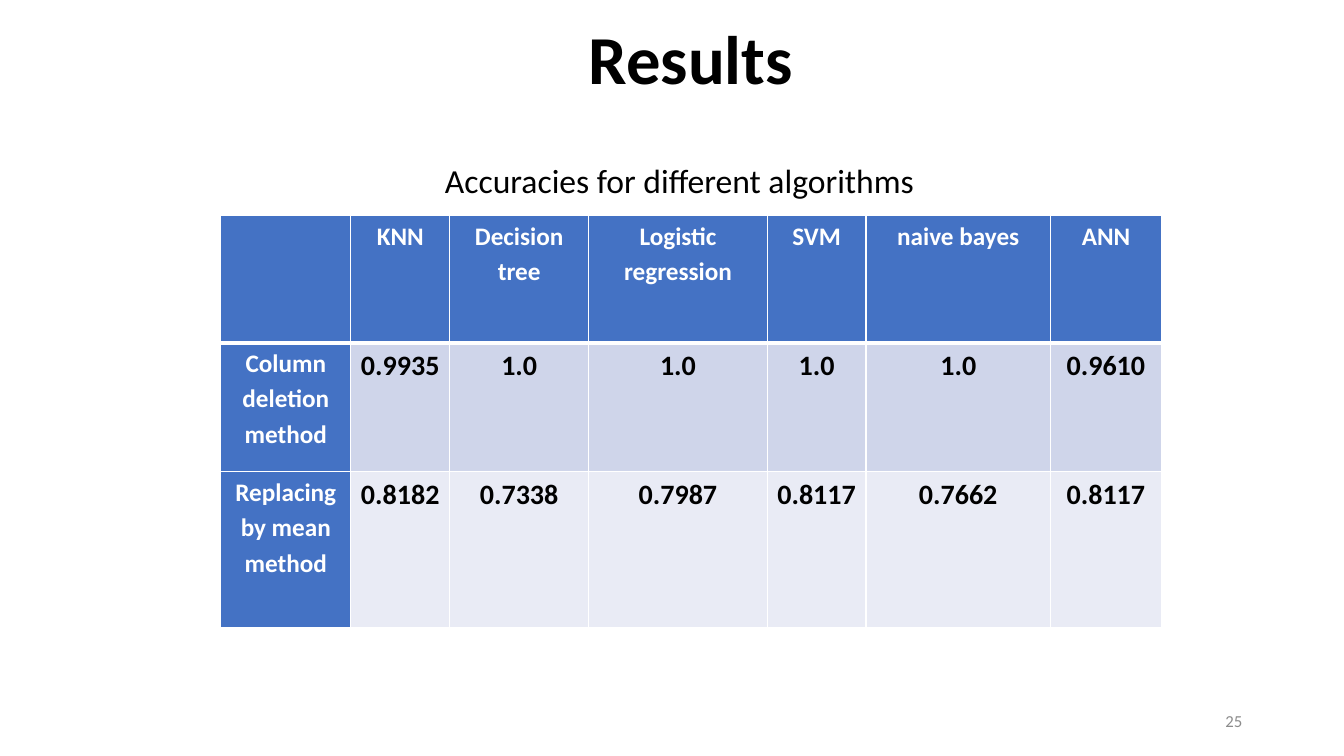
from lxml import etree
from pptx import Presentation
from pptx.dml.color import RGBColor
from pptx.enum.text import MSO_ANCHOR, MSO_AUTO_SIZE, PP_ALIGN
from pptx.oxml.ns import qn
from pptx.util import Inches, Pt

CENTER, RIGHT = PP_ALIGN.CENTER, PP_ALIGN.RIGHT
MIDDLE, TOP = MSO_ANCHOR.MIDDLE, MSO_ANCHOR.TOP
NO_AUTOFIT = MSO_AUTO_SIZE.NONE

COLORS = {
    "ink": "000000",
    "white": "FFFFFF",
    "header": "4472C4",
    "band_dark": "CFD5EA",
    "band_light": "E9EBF5",
    "number": "8C8C8C",
}


def write(frame, text, size, color, bold=False, align=CENTER, spacing=1.0, after=0):
    """Fill a text frame with one formatted Calibri paragraph."""
    paragraph = frame.paragraphs[0]
    layout = {"alignment": align, "line_spacing": spacing,
              "space_before": Pt(0), "space_after": Pt(after)}
    for attribute, value in layout.items():
        setattr(paragraph, attribute, value)
    run = paragraph.add_run()
    run.text = text
    for attribute, value in {"name": "Calibri", "size": Pt(size), "bold": bold}.items():
        setattr(run.font, attribute, value)
    run.font.color.rgb = RGBColor.from_string(COLORS[color])


def draw_borders(cell, widths):
    """Add white borders; widths maps L, R, T, B to points."""
    properties = cell._tc.get_or_add_tcPr()
    for side, points in widths.items():
        line = etree.SubElement(properties, qn(f"a:ln{side}"), w=str(Pt(points)))
        solid = etree.SubElement(line, qn("a:solidFill"))
        etree.SubElement(solid, qn("a:srgbClr"), val=COLORS["white"])


prs = Presentation()
prs.slide_width, prs.slide_height = Inches(13.33), Inches(7.5)
slide = prs.slides.add_slide(prs.slide_layouts[5])

# Title, caption and page number
title = slide.shapes.title
title.left, title.top = Inches(3.05), Inches(0.13)
title.width, title.height = Inches(7.6), Inches(0.97)
caption = slide.shapes.add_textbox(Inches(0.99), Inches(1.2), Inches(11.5), Inches(1.22))
page_number = slide.shapes.add_textbox(Inches(9.42), Inches(6.95), Inches(3), Inches(0.4))
for box in (title, caption, page_number):
    frame = box.text_frame
    frame.word_wrap = True
    frame.auto_size = NO_AUTOFIT
    frame.vertical_anchor = MIDDLE

write(title.text_frame, "Results", 49, "ink", bold=True, spacing=0.9)
write(caption.text_frame, "Accuracies for different algorithms", 24, "ink", spacing=0.9)
write(page_number.text_frame, "25", 12, "number", align=RIGHT)

# Accuracy table
accuracies = [
    ["", "KNN", "Decision tree", "Logistic regression", "SVM", "naive bayes", "ANN"],
    ["Column deletion method", "0.9935", "1.0", "1.0", "1.0", "1.0", "0.9610"],
    ["Replacing by mean method", "0.8182", "0.7338", "0.7987", "0.8117", "0.7662", "0.8117"],
]
column_widths = [1.29, 0.98, 1.38, 1.77, 0.98, 1.83, 1.1]
row_heights = [1.26, 1.28, 1.55]
row_fills = ["header", "band_dark", "band_light"]
cell_format = {
    "margin_left": Inches(0.07), "margin_right": Inches(0.07),
    "margin_top": Inches(0.01), "margin_bottom": 0, "vertical_anchor": TOP,
}

table = slide.shapes.add_table(
    len(row_heights), len(column_widths), Inches(2.19), Inches(2.14),
    Inches(sum(column_widths)), Inches(sum(row_heights))).table
for column, width in zip(table.columns, column_widths):
    column.width = Inches(width)
for row, height in zip(table.rows, row_heights):
    row.height = Inches(height)

for r, values in enumerate(accuracies):
    for c, value in enumerate(values):
        cell = table.cell(r, c)
        is_header = r == 0 or c == 0
        for attribute, setting in cell_format.items():
            setattr(cell, attribute, setting)
        draw_borders(cell, {"L": 1, "R": 1, "T": 3 if r == 1 else 1, "B": 3 if r == 0 else 1})
        cell.fill.solid()
        fill = "header" if is_header else row_fills[r]
        cell.fill.fore_color.rgb = RGBColor.from_string(COLORS[fill])
        if value:
            write(cell.text_frame, value, 18 if is_header else 20,
                  "white" if is_header else "ink", bold=True, spacing=1.15, after=10)

prs.save("out.pptx")
